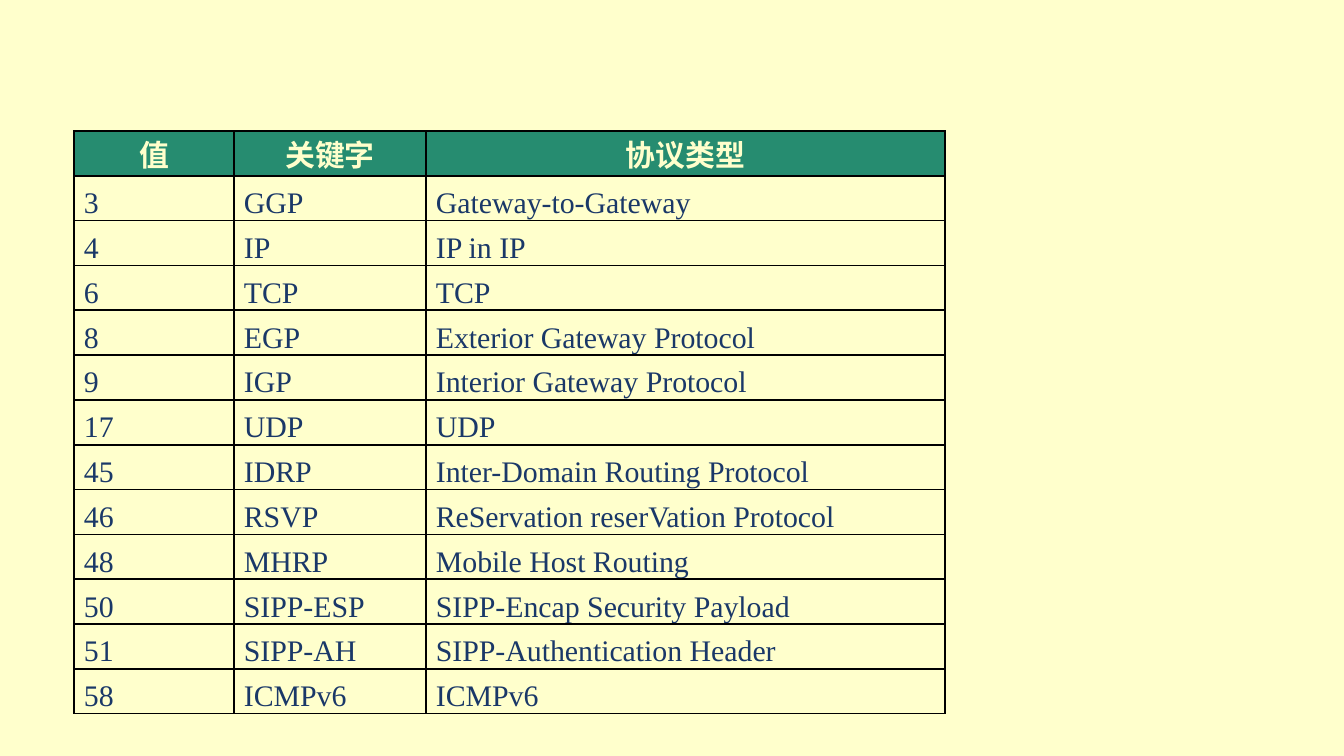
import pptx
import pptx.dml.color
import pptx.enum.text
import pptx.oxml
import pptx.oxml.ns
import pptx.util

PX_PER_INCH = 134.4
CREAM, GREEN, NAVY, BLACK = "FFFFCC", "268C70", "1A3868", "000000"
FONT = "Times New Roman"
ALIGN = pptx.enum.text.PP_ALIGN

TABLE_LEFT, TABLE_TOP, TABLE_HEIGHT = 74, 131, 583
COLUMN_WIDTHS = [160, 192, 519]
PROTOCOLS = [
    ("值", "关键字", "协议类型"),
    ("3", "GGP", "Gateway-to-Gateway"),
    ("4", "IP", "IP in IP"),
    ("6", "TCP", "TCP"),
    ("8", "EGP", "Exterior Gateway Protocol"),
    ("9", "IGP", "Interior Gateway Protocol"),
    ("17", "UDP", "UDP"),
    ("45", "IDRP", "Inter-Domain Routing Protocol"),
    ("46", "RSVP", "ReServation reserVation Protocol"),
    ("48", "MHRP", "Mobile Host Routing"),
    ("50", "SIPP-ESP", "SIPP-Encap Security Payload"),
    ("51", "SIPP-AH", "SIPP-Authentication Header"),
    ("58", "ICMPv6", "ICMPv6"),
]


def px(length):
    return pptx.util.Emu(round(length * 914400 / PX_PER_INCH))


def color(hex_string):
    return pptx.dml.color.RGBColor.from_string(hex_string)


def set_borders(cell):
    properties = cell._tc.get_or_add_tcPr()
    for side in ("lnL", "lnR", "lnT", "lnB"):
        properties.append(pptx.oxml.parse_xml(
            f'<a:{side} {pptx.oxml.ns.nsdecls("a")} w="{pptx.util.Pt(1)}">'
            f'<a:solidFill><a:srgbClr val="{BLACK}"/></a:solidFill></a:{side}>'))


def fill_cell(cell, text, is_header):
    set_borders(cell)
    if is_header:
        cell.fill.solid()
        cell.fill.fore_color.rgb = color(GREEN)
    else:
        cell.fill.background()
    cell.margin_left = cell.margin_right = px(10)
    cell.margin_top, cell.margin_bottom = px(22), 0
    cell.text = text
    paragraph = cell.text_frame.paragraphs[0]
    paragraph.alignment = ALIGN.CENTER if is_header else ALIGN.JUSTIFY
    paragraph.line_spacing = pptx.util.Pt(12)
    paragraph.font.name = FONT
    paragraph.font.size = pptx.util.Pt(16)
    paragraph.font.bold = is_header
    paragraph.font.color.rgb = color(CREAM if is_header else NAVY)


def add_protocol_table(slide):
    table = slide.shapes.add_table(
        len(PROTOCOLS), len(COLUMN_WIDTHS), px(TABLE_LEFT), px(TABLE_TOP),
        px(sum(COLUMN_WIDTHS)), px(TABLE_HEIGHT)).table
    table.horz_banding = False
    for column, width in zip(table.columns, COLUMN_WIDTHS):
        column.width = px(width)
    for row_index, (row, texts) in enumerate(zip(table.rows, PROTOCOLS)):
        row.height = px(TABLE_HEIGHT / len(PROTOCOLS))
        for cell, text in zip(row.cells, texts):
            fill_cell(cell, text, is_header=row_index == 0)


def main():
    presentation = pptx.Presentation()
    presentation.slide_width, presentation.slide_height = px(1344), px(756)
    slide = presentation.slides.add_slide(presentation.slide_layouts[6])
    slide.background.fill.solid()
    slide.background.fill.fore_color.rgb = color(CREAM)
    add_protocol_table(slide)
    presentation.save("out.pptx")


if __name__ == "__main__":
    main()
